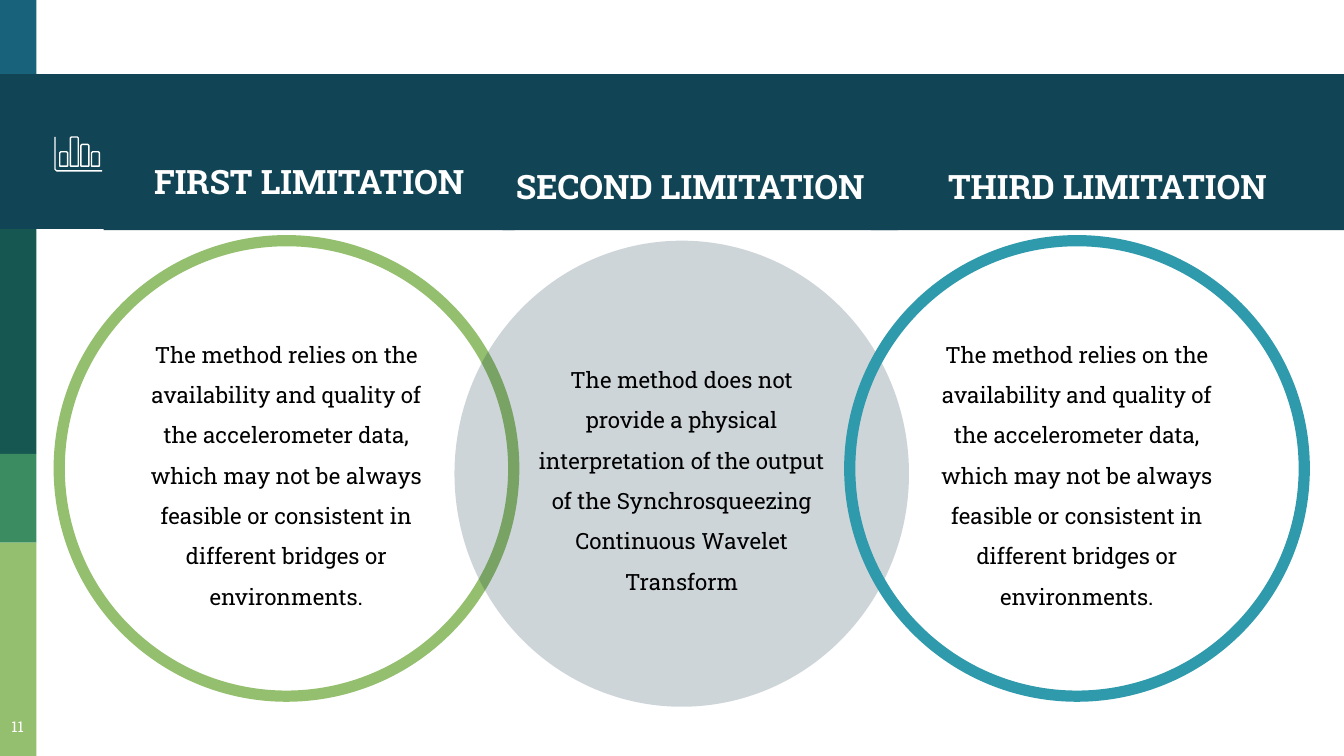
from lxml import etree
from pptx import Presentation
from pptx.dml.color import RGBColor
from pptx.enum.shapes import MSO_SHAPE
from pptx.enum.text import MSO_ANCHOR, PP_ALIGN
from pptx.oxml.ns import qn
from pptx.util import Cm, Pt

RECT, OVAL = MSO_SHAPE.RECTANGLE, MSO_SHAPE.OVAL
TOP, MIDDLE = MSO_ANCHOR.TOP, MSO_ANCHOR.MIDDLE
LEFT, CENTER = PP_ALIGN.LEFT, PP_ALIGN.CENTER

FONT = "Roboto Slab"
WHITE = RGBColor(0xFF, 0xFF, 0xFF)
BLACK = RGBColor(0x00, 0x00, 0x00)
BLUE = RGBColor(0x18, 0x63, 0x7B)
NAVY = RGBColor(0x11, 0x44, 0x54)
PINE = RGBColor(0x16, 0x57, 0x51)
GREEN = RGBColor(0x3B, 0x8D, 0x61)
LIME = RGBColor(0x94, 0xBF, 0x6E)
TEAL = RGBColor(0x30, 0x9A, 0xAD)
INK = RGBColor(0x0E, 0x31, 0x42)

DATA = ("The method relies on the availability and quality of the accelerometer "
        "data, which may not be always feasible or consistent in different "
        "bridges or environments.")
OUTPUT = ("The method does not provide a physical interpretation of the output "
          "of the Synchrosqueezing Continuous Wavelet Transform")

# All lengths below are in centimetres.
WIDE, HIGH = 25.4, 14.29
STRIP = 0.69
BAND_TOP, BAND_HIGH = 1.4, 2.95
# top, bottom, width, colour
SIDE = [
    (0, 1.47, STRIP, BLUE),
    (BAND_TOP, BAND_TOP + 2.93, 12.7, NAVY),
    (4.33, 8.58, STRIP, PINE),
    (8.58, 10.26, STRIP, GREEN),
    (10.26, HIGH, STRIP, LIME),
]
# text, height, ring colour, fill colour, space after
CIRCLES = [
    (DATA, 8.61, LIME, None, 0),
    (OUTPUT, 8.81, None, INK, 6),
    (DATA, 8.61, TEAL, None, 0),
]
CIRCLE_LEFT, CIRCLE_TOP, CIRCLE_WIDE, CIRCLE_STEP = 1.12, 4.55, 8.59, 7.47
# text, left, width, top inset, alignment; from back to front
HEADS = [
    ("THIRD LIMITATION", 16.46, 8.94, 1.73, CENTER),
    ("SECOND LIMITATION", 9.5, 7.47, 1.73, LEFT),
    ("FIRST LIMITATION", 1.96, 7.77, 1.65, CENTER),
]
AXIS = [(1.04, 2.59), (1.04, 3.2), (1.07, 3.23), (1.93, 3.23)]
BAR_TOPS = [2.87, 2.59, 2.73, 2.87]
BAR_LEFT, BAR_STEP, BAR_WIDE, BAR_BASE, CUT = 1.13, 0.2, 0.15, 3.14, 0.02


def paint(shape, fill=None, line=None, weight=0.75):
    shape.shadow.inherit = False
    for part, color in ((shape.fill, fill), (shape.line.fill, line)):
        if color is None:
            part.background()
        else:
            part.solid()
            part.fore_color.rgb = color
    if line is not None:
        shape.line.width = Pt(weight)


def add(kind, left, top, width, height, **look):
    shape = slide.shapes.add_shape(kind, Cm(left), Cm(top), Cm(width), Cm(height))
    paint(shape, **look)
    return shape


def write(shape, text, size, color, bold=False, anchor=TOP, inset=0.25, **form):
    frame = shape.text_frame
    looks = {"word_wrap": True, "vertical_anchor": anchor, "margin_top": Cm(inset)}
    for side in ("left", "right", "bottom"):
        looks["margin_" + side] = Cm(0.25)
    for name, value in looks.items():
        setattr(frame, name, value)
    para = frame.paragraphs[0]
    for name, value in form.items():
        setattr(para, name, value)
    run = para.add_run()
    run.text = text
    for name, value in {"name": FONT, "size": Pt(size), "bold": bold}.items():
        setattr(run.font, name, value)
    run.font.color.rgb = color


def fade(shape, percent):
    """Set the opacity of a solid fill."""
    color = shape.element.spPr.find(qn("a:solidFill"))[0]
    etree.SubElement(color, qn("a:alpha")).set("val", str(percent * 1000))


def trace(group, points, close):
    """Draw a white outline through the points."""
    spots = [(Cm(x), Cm(y)) for x, y in points]
    pen = group.shapes.build_freeform(*spots[0])
    pen.add_line_segments(spots[1:], close=close)
    paint(pen.convert_to_shape(), line=WHITE)


def add_icon():
    group = slide.shapes.add_group_shape()
    trace(group, AXIS, False)
    for i, top in enumerate(BAR_TOPS):
        left = BAR_LEFT + i * BAR_STEP
        right = left + BAR_WIDE
        trace(group, [(right, BAR_BASE), (right, top + CUT), (right - CUT, top),
                      (left + CUT, top), (left, top + CUT), (left, BAR_BASE)], True)


deck = Presentation()
deck.slide_width, deck.slide_height = Cm(WIDE), Cm(HIGH)
slide = deck.slides.add_slide(deck.slide_layouts[6])

for top, bottom, width, color in SIDE:
    add(RECT, 0, top, width, bottom - top, fill=color)

for i, (text, height, ring, fill, after) in enumerate(CIRCLES):
    oval = add(OVAL, CIRCLE_LEFT + i * CIRCLE_STEP, CIRCLE_TOP, CIRCLE_WIDE, height,
               fill=fill, line=ring, weight=6)
    if fill is not None:
        fade(oval, 20)
    write(oval, text, 12, BLACK, anchor=MIDDLE, alignment=CENTER,
          line_spacing=1.5, space_before=Pt(9), space_after=Pt(after))

for text, left, width, inset, align in HEADS:
    band = add(RECT, left, BAND_TOP, width, BAND_HIGH, fill=NAVY)
    write(band, text, 18, WHITE, bold=True, inset=inset, alignment=align)

add_icon()
number = slide.shapes.add_textbox(Cm(-0.15), Cm(13.39), Cm(0.97), Cm(0.89))
write(number, "11", 8, WHITE, alignment=CENTER)

deck.save("out.pptx")
